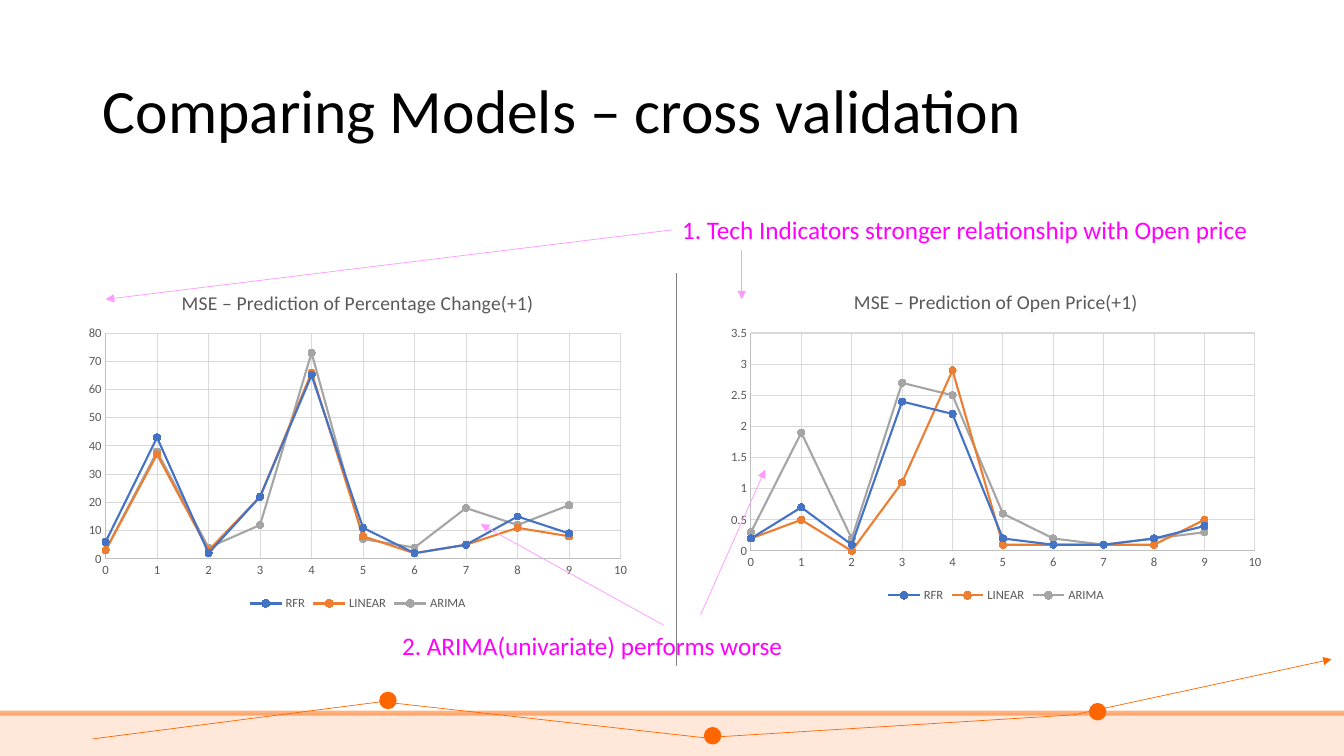
"""Build the slide that compares cross-validated forecasting models."""
import lxml.etree
import pptx
import pptx.chart.data
import pptx.dml.color
import pptx.enum.chart
import pptx.enum.shapes
import pptx.enum.text
import pptx.oxml
import pptx.util
from pptx.oxml.ns import nsdecls, qn
from pptx.util import Pt

FONT = "Calibri"
TITLE = ("Comparing Models – cross validation", (66.24, 28.8, 828, 104.4))
ORANGE, PINK, GREY_TEXT = "FF6600", "FF99FF", "595959"
SERIES_COLORS = {"RFR": "4472C4", "LINEAR": "ED7D31", "ARIMA": "A5A5A5"}

CHARTS = [
    {
        "title": "MSE – Prediction of Open Price(+1)",
        "box": (514.1, 195.1, 394.6, 238.3),
        "plot": (536.4, 237.9, 360, 155.7),
        "scale": (3.5, 0.5),
        "values": {
            "RFR": (0.2, 0.7, 0.1, 2.4, 2.2, 0.2, 0.1, 0.1, 0.2, 0.4),
            "LINEAR": (0.2, 0.5, 0, 1.1, 2.9, 0.1, 0.1, 0.1, 0.1, 0.5),
            "ARIMA": (0.3, 1.9, 0.2, 2.7, 2.5, 0.6, 0.2, 0.1, 0.2, 0.3),
        },
    },
    {
        "title": "MSE – Prediction of Percentage Change(+1)",
        "box": (55.4, 195.1, 400.3, 244.1),
        "plot": (75.4, 237.9, 367.9, 161.4),
        "scale": (80, 10),
        "values": {
            "RFR": (6, 43, 2, 22, 65, 11, 2, 5, 15, 9),
            "LINEAR": (3, 37, 3, 22, 66, 8, 2, 5, 11, 8),
            "ARIMA": (3, 38, 4, 12, 73, 7, 4, 18, 12, 19),
        },
    },
]

NOTES = [
    ("1. Tech Indicators stronger relationship with Open price", (480.2, 149.8, 424.8, 28.8)),
    ("2. ARIMA(univariate) performs worse", (280.1, 446.4, 294.5, 28.8)),
]
NOTE_ARROWS = [
    (480.2, 164.2, 75.6, 213.8), (529.9, 178.6, 529.9, 213.8),
    (500.4, 439.2, 546.5, 335.5), (473.8, 446.4, 343.4, 374.4),
]
DIVIDER = (483.1, 195.1, 483.1, 475.9)

BANDS = [((0, 509.4, 960, 30.6), 15), ((0, 507.6, 960, 3.6), 50)]
TREND_LINES = [
    (66.2, 527.8, 273.6, 501.1), (271.4, 501.1, 503.3, 527),
    (501.8, 527, 769, 510.5), (767.5, 510.5, 951.1, 470.9),
]
DOT_SIZE = 11.5
DOTS = [(271.4, 494.6), (503.3, 519.8), (778.3, 502.6)]


def color(value):
    return pptx.dml.color.RGBColor.from_string(value)


def points(values):
    return [Pt(value) for value in values]


def element(markup):
    return pptx.oxml.parse_xml(markup.replace("/>", f" {nsdecls('a')}/>"))


def format_font(font, size, value):
    font.name, font.size, font.bold = FONT, Pt(size), False
    font.color.rgb = color(value)


def format_fill(fill, value):
    fill.solid()
    fill.fore_color.rgb = color(value)


def format_line(line, value, width):
    line.color.rgb = color(value)
    line.width = Pt(width)


def add_line(slide, ends, value, arrow=False):
    connector = slide.shapes.add_connector(
        pptx.enum.shapes.MSO_CONNECTOR.STRAIGHT, *points(ends))
    format_line(connector.line, value, 0.5)
    if arrow:
        connector.line._get_or_add_ln().append(element('<a:tailEnd type="triangle"/>'))
    connector._element.spPr.append(element("<a:effectLst/>"))


def add_filled(slide, kind, box, alpha=None):
    shape = slide.shapes.add_shape(kind, *points(box))
    shape.shadow.inherit = False
    format_fill(shape.fill, ORANGE)
    if alpha is None:
        format_line(shape.line, ORANGE, 1)
    else:
        shape.line.fill.background()
        fill = shape._element.spPr.find(qn("a:solidFill"))
        fill[0].append(element(f'<a:alpha val="{alpha * 1000}"/>'))


def add_footer(slide):
    kinds = pptx.enum.shapes.MSO_SHAPE
    for box, alpha in BANDS:
        add_filled(slide, kinds.RECTANGLE, box, alpha)
    for ends in TREND_LINES:
        add_line(slide, ends, ORANGE, arrow=ends == TREND_LINES[-1])
    for left, top in DOTS:
        add_filled(slide, kinds.OVAL, (left, top, DOT_SIZE, DOT_SIZE))


def format_axis(axis, top, step):
    axis.minimum_scale, axis.maximum_scale, axis.major_unit = 0, top, step
    axis.major_tick_mark = axis.minor_tick_mark = pptx.enum.chart.XL_TICK_MARK.NONE
    axis.has_major_gridlines = True
    format_line(axis.major_gridlines.format.line, "D9D9D9", 0.75)
    format_line(axis.format.line, "BFBFBF", 0.75)
    format_font(axis.tick_labels.font, 9, GREY_TEXT)


def place_plot(chart, box, plot):
    area = chart._chartSpace.find(".//" + qn("c:plotArea"))
    for old in area.findall(qn("c:layout")):
        area.remove(old)
    layout = lxml.etree.Element(qn("c:layout"))
    area.insert(0, layout)
    manual = lxml.etree.SubElement(layout, qn("c:manualLayout"))
    left, top, width, height = box
    settings = {"layoutTarget": "inner", "xMode": "edge", "yMode": "edge",
                "x": (plot[0] - left) / width, "y": (plot[1] - top) / height,
                "w": plot[2] / width, "h": plot[3] / height}
    for name, value in settings.items():
        lxml.etree.SubElement(manual, qn(f"c:{name}")).set("val", str(value))


def add_scatter(slide, content):
    data = pptx.chart.data.XyChartData()
    for name, values in content["values"].items():
        series = data.add_series(name)
        for fold, value in enumerate(values):
            series.add_data_point(fold, value)
    chart = slide.shapes.add_chart(
        pptx.enum.chart.XL_CHART_TYPE.XY_SCATTER_LINES, *points(content["box"]), data).chart
    format_font(chart.font, 10, "000000")
    chart.chart_title.text_frame.text = content["title"]
    format_font(chart.chart_title.text_frame.paragraphs[0].runs[0].font, 14, GREY_TEXT)
    chart.has_legend = True
    chart.legend.position = pptx.enum.chart.XL_LEGEND_POSITION.BOTTOM
    chart.legend.include_in_layout = False
    format_font(chart.legend.font, 9, GREY_TEXT)
    format_axis(chart.category_axis, 10, 1)
    format_axis(chart.value_axis, *content["scale"])
    place_plot(chart, content["box"], content["plot"])
    chart.plots[0].vary_by_categories = False
    for series in chart.plots[0].series:
        value = SERIES_COLORS[series.name]
        series.smooth = False
        format_line(series.format.line, value, 1.5)
        series.marker.style = pptx.enum.chart.XL_MARKER_STYLE.CIRCLE
        series.marker.size = 5
        format_fill(series.marker.format.fill, value)
        format_line(series.marker.format.line, value, 0.75)


def add_title(slide):
    text, box = TITLE
    title = slide.shapes.title
    title.left, title.top, title.width, title.height = points(box)
    frame = title.text_frame
    frame.text = text
    frame.auto_size = pptx.enum.text.MSO_AUTO_SIZE.NONE
    frame.vertical_anchor = pptx.enum.text.MSO_ANCHOR.MIDDLE
    paragraph = frame.paragraphs[0]
    paragraph.alignment = pptx.enum.text.PP_ALIGN.LEFT
    paragraph.line_spacing = 0.9
    format_font(paragraph.runs[0].font, 44, "000000")


def add_note(slide, text, box):
    frame = slide.shapes.add_textbox(*points(box)).text_frame
    frame.text = text
    frame.word_wrap = False
    frame.auto_size = pptx.enum.text.MSO_AUTO_SIZE.SHAPE_TO_FIT_TEXT
    format_font(frame.paragraphs[0].runs[0].font, 18, "FF00FF")


presentation = pptx.Presentation()
presentation.slide_width, presentation.slide_height = Pt(960), Pt(540)
slide = presentation.slides.add_slide(presentation.slide_layouts[5])
add_footer(slide)
add_title(slide)
for content in CHARTS:
    add_scatter(slide, content)
add_line(slide, DIVIDER, "808080")
for text, box in NOTES:
    add_note(slide, text, box)
for ends in NOTE_ARROWS:
    add_line(slide, ends, PINK, arrow=True)
presentation.save("out.pptx")
